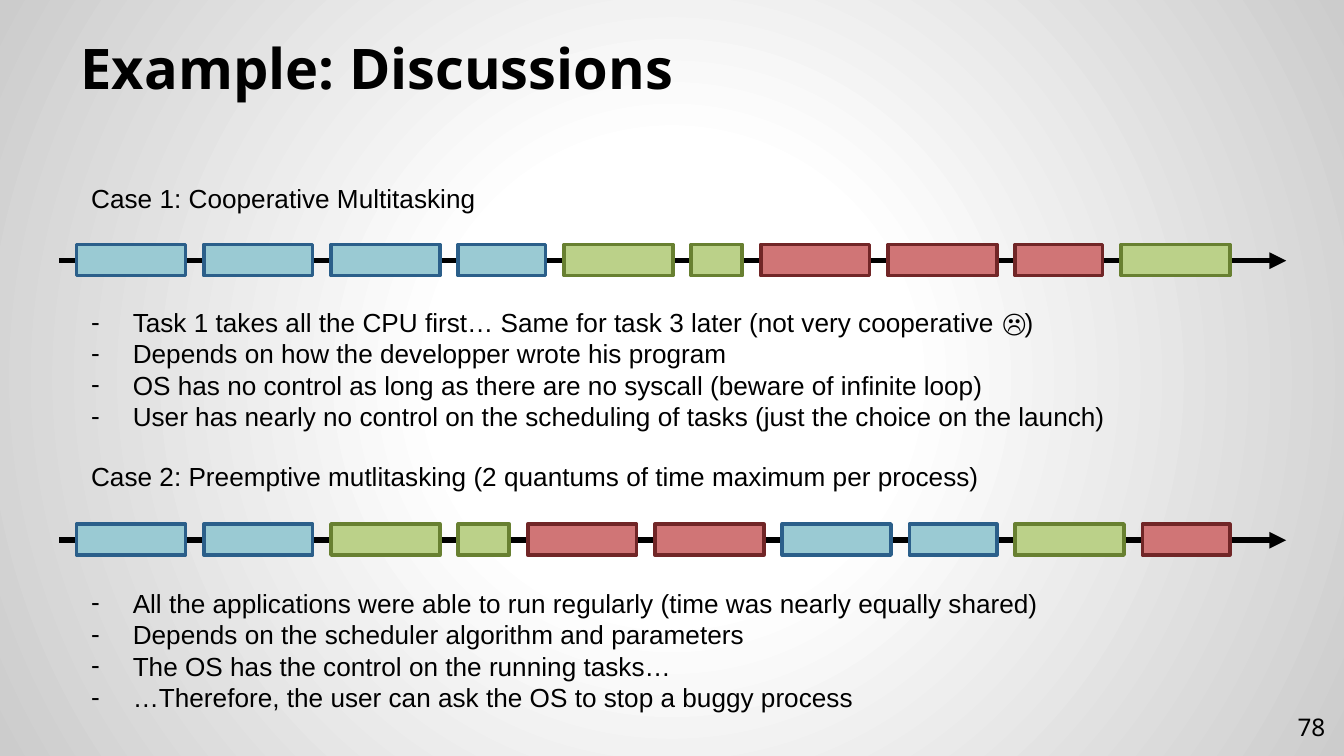
import pptx
import pptx.dml.color
import pptx.enum.shapes
import pptx.enum.text
import pptx.oxml
import pptx.oxml.ns
import pptx.util
from lxml import etree

Inches = pptx.util.Inches
RGBColor = pptx.dml.color.RGBColor
Align = pptx.enum.text.PP_ALIGN
Anchor = pptx.enum.text.MSO_ANCHOR
qn = pptx.oxml.ns.qn

BLACK = RGBColor(0x00, 0x00, 0x00)
BLUE, BLUE_EDGE = RGBColor(0x9A, 0xCA, 0xD3), RGBColor(0x2B, 0x5F, 0x8A)
GREEN, GREEN_EDGE = RGBColor(0xBB, 0xD1, 0x89), RGBColor(0x68, 0x80, 0x31)
RED, RED_EDGE = RGBColor(0xD0, 0x75, 0x76), RGBColor(0x71, 0x26, 0x27)

TASK_COLORS = {1: (BLUE, BLUE_EDGE), 2: (GREEN, GREEN_EDGE), 3: (RED, RED_EDGE)}
FULL, PARTIAL, SHORT = 0.81, 0.65, 0.38
FIRST_LEFT, LAST_RIGHT, SLOT_HEIGHT = 0.57, 9.15, 0.23

COOPERATIVE_SLOTS = [
    (1, FULL), (1, FULL), (1, FULL), (1, PARTIAL), (2, FULL),
    (2, SHORT), (3, FULL), (3, FULL), (3, PARTIAL), (2, FULL),
]
PREEMPTIVE_SLOTS = [
    (1, FULL), (1, FULL), (2, FULL), (2, SHORT), (3, FULL),
    (3, FULL), (1, FULL), (1, PARTIAL), (2, FULL), (3, PARTIAL),
]
COOPERATIVE_NOTES = [
    "Task 1 takes all the CPU first… Same for task 3 later (not very cooperative ☹)",
    "Depends on how the developper wrote his program",
    "OS has no control as long as there are no syscall (beware of infinite loop)",
    "User has nearly no control on the scheduling of tasks (just the choice on the launch)",
]
PREEMPTIVE_NOTES = [
    "All the applications were able to run regularly (time was nearly equally shared)",
    "Depends on the scheduler algorithm and parameters",
    "The OS has the control on the running tasks…",
    "…Therefore, the user can ask the OS to stop a buggy process",
]

BACKGROUND = f"""<p:bg {pptx.oxml.ns.nsdecls("p", "a")}><p:bgPr>
<a:gradFill><a:gsLst>
<a:gs pos="0"><a:srgbClr val="FFFFFF"/></a:gs>
<a:gs pos="30000"><a:srgbClr val="FFFFFF"/></a:gs>
<a:gs pos="100000"><a:srgbClr val="CCCCCC"/></a:gs>
</a:gsLst><a:path path="circle">
<a:fillToRect l="50000" t="50000" r="50000" b="50000"/>
</a:path></a:gradFill><a:effectLst/></p:bgPr></p:bg>"""


def set_background(slide):
    slide.element.cSld.insert(0, pptx.oxml.parse_xml(BACKGROUND))


def add_dash(paragraph):
    properties = paragraph._p.get_or_add_pPr()
    properties.set("marL", str(Inches(0.31)))
    properties.set("indent", str(-Inches(0.31)))
    color = etree.SubElement(properties, qn("a:buClr"))
    etree.SubElement(color, qn("a:srgbClr"), val=str(BLACK))
    etree.SubElement(properties, qn("a:buFont"), typeface="Arial")
    etree.SubElement(properties, qn("a:buChar"), char="-")


def write_text(frame, lines, size=14, font="Arial", bold=False, align=Align.LEFT,
               anchor=Anchor.TOP, margin=0.05, dashed=False):
    frame.word_wrap = True
    frame.auto_size = pptx.enum.text.MSO_AUTO_SIZE.NONE
    frame.vertical_anchor = anchor
    frame.margin_left = frame.margin_right = Inches(0.1)
    frame.margin_top = frame.margin_bottom = Inches(margin)
    frame.text = "\n".join(lines)
    for paragraph in frame.paragraphs:
        if dashed:
            add_dash(paragraph)
        paragraph.alignment = align
        paragraph.font.size = pptx.util.Pt(size)
        paragraph.font.name = font
        paragraph.font.bold = bold
        paragraph.font.color.rgb = BLACK


def add_text(slide, box, lines, **text_format):
    textbox = slide.shapes.add_textbox(*map(Inches, box))
    write_text(textbox.text_frame, lines, **text_format)


def add_title(slide, text):
    title = slide.shapes.title
    title.left, title.top, title.width, title.height = map(Inches, (0.5, 0.23, 9, 0.62))
    write_text(title.text_frame, [text], size=30, font="Noto Sans", bold=True,
               anchor=Anchor.BOTTOM, margin=0.1)


def add_time_arrow(group, y):
    arrow = group.shapes.add_connector(
        pptx.enum.shapes.MSO_CONNECTOR.STRAIGHT,
        Inches(0.44), Inches(y), Inches(9.57), Inches(y))
    arrow.line.color.rgb = BLACK
    arrow.line.width = pptx.util.Pt(3)
    etree.SubElement(arrow.line._get_or_add_ln(), qn("a:tailEnd"), type="triangle")
    etree.SubElement(arrow._element.spPr, qn("a:effectLst"))


def add_slot(group, left, top, width, task):
    slot = group.shapes.add_shape(
        pptx.enum.shapes.MSO_SHAPE.RECTANGLE,
        Inches(left), Inches(top), Inches(width), Inches(SLOT_HEIGHT))
    fill, edge = TASK_COLORS[task]
    slot.shadow.inherit = False
    slot.fill.solid()
    slot.fill.fore_color.rgb = fill
    slot.line.color.rgb = edge
    slot.line.width = pptx.util.Pt(2)


def add_timeline(slide, arrow_y, slot_top, slots):
    group = slide.shapes.add_group_shape()
    add_time_arrow(group, arrow_y)
    busy = sum(width for _, width in slots)
    gap = (LAST_RIGHT - FIRST_LEFT - busy) / (len(slots) - 1)
    left = FIRST_LEFT
    for task, width in slots:
        add_slot(group, left, slot_top, width, task)
        left += width + gap


def main():
    deck = pptx.Presentation()
    deck.slide_width = Inches(10)
    deck.slide_height = deck.slide_width * 9 // 16
    slide = deck.slides.add_slide(deck.slide_layouts[5])
    set_background(slide)
    add_title(slide, "Example: Discussions")
    add_text(slide, (9.36, 5.19, 0.6, 0.43), ["78"], size=13, font="Noto Sans",
             align=Align.RIGHT, anchor=Anchor.MIDDLE, margin=0.1)

    add_text(slide, (0.58, 1.31, 4.95, 0.34), ["Case 1: Cooperative Multitasking"])
    add_text(slide, (0.58, 2.23, 7.9, 1.04), COOPERATIVE_NOTES, dashed=True)
    add_text(slide, (0.58, 3.38, 7.9, 0.34),
             ["Case 2: Preemptive mutlitasking (2 quantums of time maximum per process)"])
    add_text(slide, (0.58, 4.32, 7.53, 1.04), PREEMPTIVE_NOTES, dashed=True)

    add_timeline(slide, 1.94, 1.82, COOPERATIVE_SLOTS)
    add_timeline(slide, 4.02, 3.9, PREEMPTIVE_SLOTS)
    deck.save("out.pptx")


if __name__ == "__main__":
    main()
